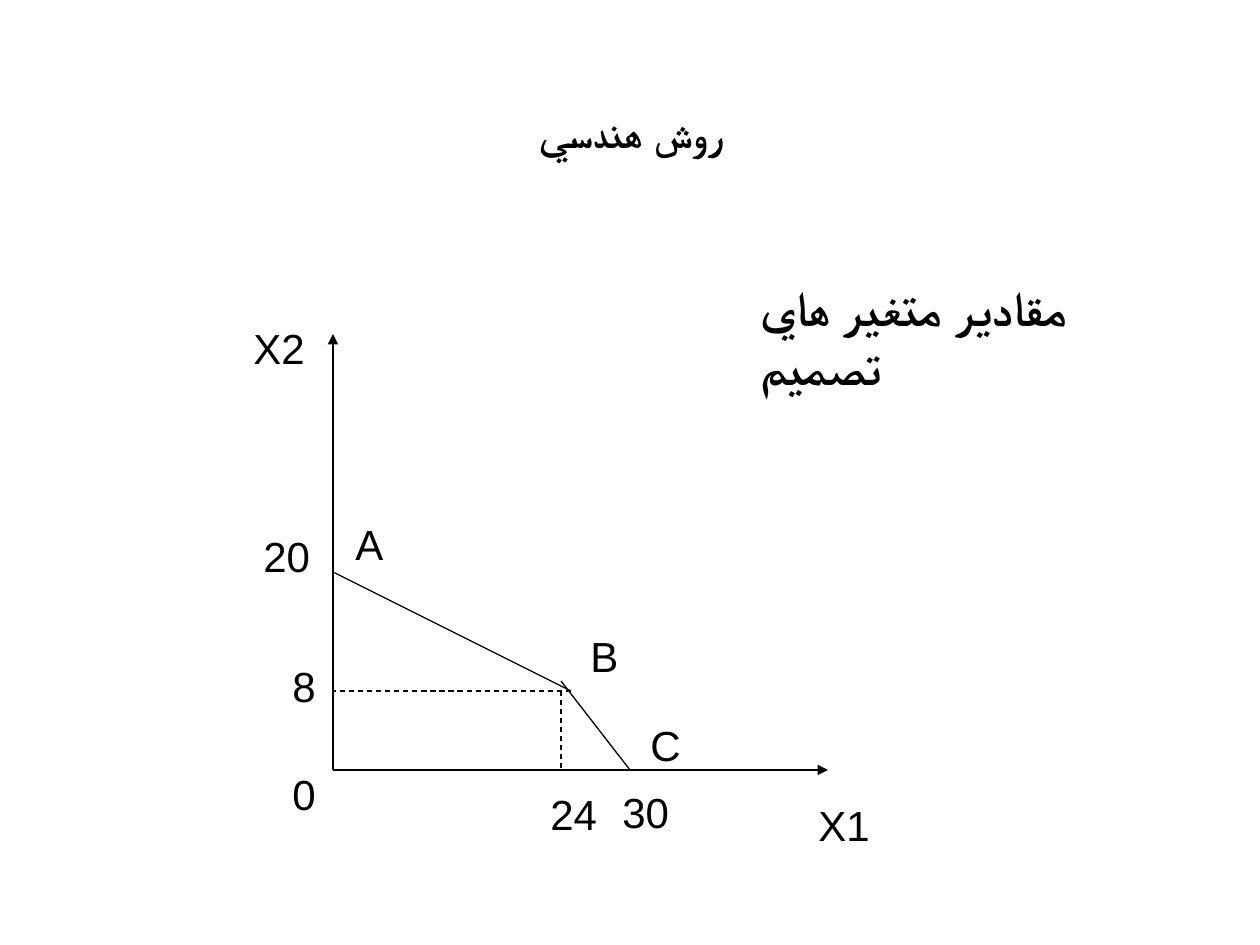
from lxml import etree
from pptx import Presentation
from pptx.dml.color import RGBColor
from pptx.enum.dml import MSO_LINE
from pptx.enum.shapes import MSO_CONNECTOR
from pptx.enum.text import MSO_ANCHOR, PP_ALIGN
from pptx.oxml.ns import qn
from pptx.util import Emu, Pt

DASH = MSO_LINE.DASH
STRAIGHT = MSO_CONNECTOR.STRAIGHT
MIDDLE, TOP = MSO_ANCHOR.MIDDLE, MSO_ANCHOR.TOP
LEFT, CENTER = PP_ALIGN.LEFT, PP_ALIGN.CENTER

COLORS = {"ink": "000000"}
FONT = "Arial"
SCALE = 914400 / 126


def px(n):
    return Emu(round(n * SCALE))


def ink():
    return RGBColor.from_string(COLORS["ink"])


def add_text(slide, text, box, size=24, bold=False, align=LEFT,
             anchor=TOP, wrap=False):
    shape = slide.shapes.add_textbox(*map(px, box))
    frame = shape.text_frame
    frame.word_wrap = wrap
    frame.vertical_anchor = anchor
    para = frame.paragraphs[0]
    para.alignment = align
    run = para.add_run()
    run.text = text
    font = run.font
    font.name, font.size, font.bold = FONT, Pt(size), bold
    font.color.rgb = ink()


def add_line(slide, start, end, dash=False, arrow=False):
    line = slide.shapes.add_connector(STRAIGHT, *map(px, start + end))
    line.line.color.rgb = ink()
    line.line.width = Pt(0.75)
    if dash:
        line.line.dash_style = DASH
    if arrow:
        etree.SubElement(line.line._get_or_add_ln(), qn("a:tailEnd"),
                         type="triangle")
    etree.SubElement(line._element.spPr, qn("a:effectLst"))


def add_heads(slide, box):
    x, y, w, h = box
    add_text(slide, "روش هندسي", (x, y, w, h), bold=True,
             align=CENTER, anchor=MIDDLE)
    add_text(slide, "مقادير متغير هاي تصميم", (x + 684, y + 218, 420, 72),
             size=28, bold=True, wrap=True)


def add_graph(slide, box):
    x, y, w, h = box

    # Points are measured right and up from the origin
    def at(dx, dy):
        return x + dx, y + h - dy

    # Axes
    for end in ((0, h), (w, 0)):
        add_line(slide, at(0, 0), at(*end), arrow=True)

    # Constraint edges, then dashed guides to the optimum
    edges = [((297, 0), (228, 89), False), ((0, 198), (238, 79), False),
             ((228, 79), (228, 0), True), ((238, 79), (0, 79), True)]
    for start, end, dash in edges:
        add_line(slide, at(*start), at(*end), dash=dash)

    # Axis values, corner names and axis names
    labels = [("20", -82, 246, 72), ("8", -53, 116, 49), ("0", -53, 8, 49),
              ("24", 205, -12, 72), ("30", 277, -10, 72),
              ("A", 10, 258, 53), ("B", 245, 146, 53), ("C", 305, 57, 55),
              ("X2", -92, 454, 77), ("X1", 473, -23, 77)]
    for text, dx, dy, wide in labels:
        add_text(slide, text, (*at(dx, dy), wide, 63))


def main():
    deck = Presentation()
    deck.slide_width, deck.slide_height = px(1260), px(945)
    slide = deck.slides.add_slide(deck.slide_layouts[6])
    add_heads(slide, (64, 53, 1134, 158))
    add_graph(slide, (333, 334, 495, 436))
    deck.save("out.pptx")


if __name__ == "__main__":
    main()
